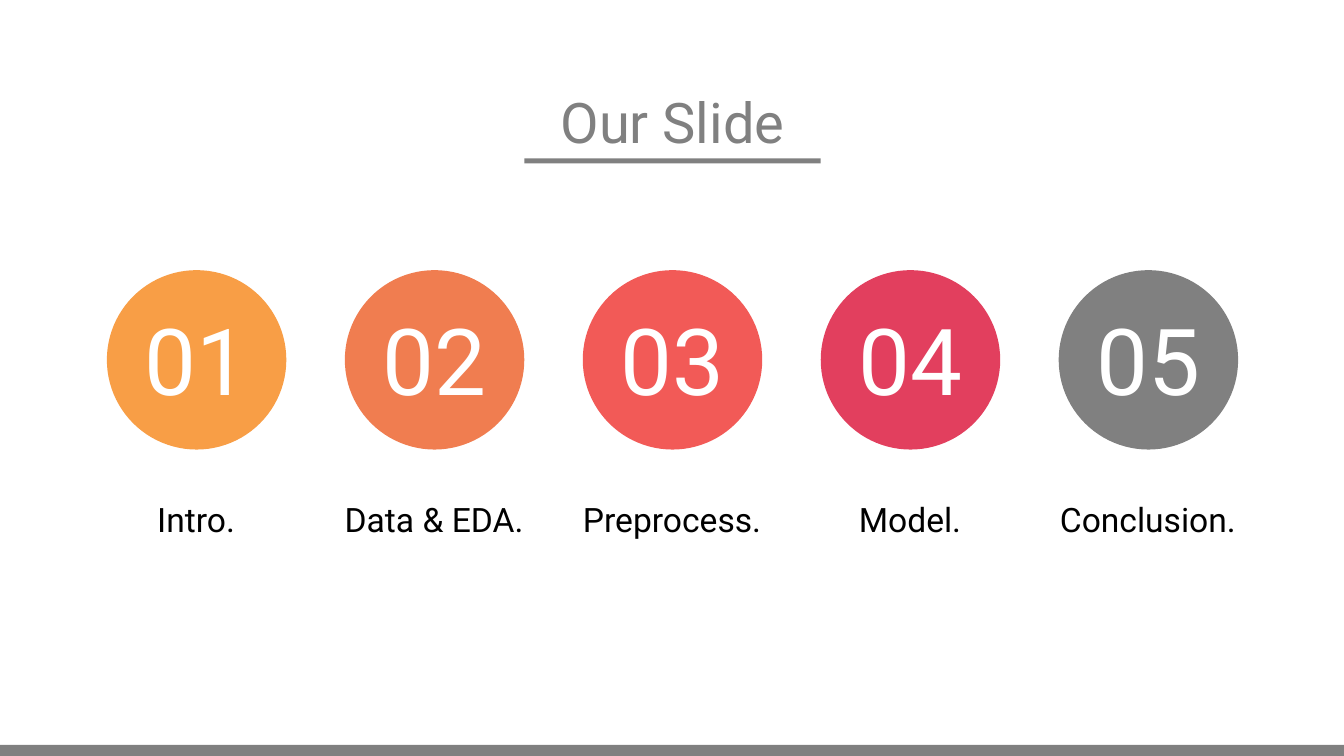
import pptx
import pptx.util
import pptx.dml.color
import pptx.enum.shapes
import pptx.enum.text

Inches = pptx.util.Inches
SHAPES = pptx.enum.shapes.MSO_SHAPE
GRAY = "808080"

deck = pptx.Presentation()
deck.slide_width = Inches(13.33)
deck.slide_height = Inches(7.5)
page = deck.slides.add_slide(deck.slide_layouts[5])


def add_block(kind, left, top, width, height, color):
    block = page.shapes.add_shape(
        kind, Inches(left), Inches(top), Inches(width), Inches(height))
    block.shadow.inherit = False
    block.fill.solid()
    block.fill.fore_color.rgb = pptx.dml.color.RGBColor.from_string(color)
    block.line.fill.background()


def write_text(box, text, size, color):
    frame = box.text_frame
    frame.word_wrap = True
    frame.auto_size = pptx.enum.text.MSO_AUTO_SIZE.SHAPE_TO_FIT_TEXT
    frame.vertical_anchor = pptx.enum.text.MSO_ANCHOR.TOP
    para = frame.paragraphs[0]
    para.text = text
    para.alignment = pptx.enum.text.PP_ALIGN.CENTER
    para.font.name = "Roboto"
    para.font.size = pptx.util.Pt(size)
    para.font.color.rgb = pptx.dml.color.RGBColor.from_string(color)


# Title with its underline
title = page.shapes.title
title.left, title.top = Inches(4.38), Inches(0.82)
title.width, title.height = Inches(4.58), Inches(0.77)
write_text(title, "Our Slide", 40, GRAY)
add_block(SHAPES.RECTANGLE, 5.2, 1.57, 2.94, 0.05, GRAY)

# Agenda: numbered circles with captions, evenly spaced
agenda = [
    ("Intro.", "F89E46"),
    ("Data & EDA.", "F07D50"),
    ("Preprocess.", "F25A57"),
    ("Model.", "E23F5E"),
    ("Conclusion.", GRAY),
]
for index, (caption, color) in enumerate(agenda):
    center = 1.95 + index * 2.36
    add_block(SHAPES.OVAL, center - 0.89, 2.68, 1.78, 1.78, color)
    number_box = page.shapes.add_textbox(
        Inches(center - 0.65), Inches(2.96), Inches(1.3), Inches(1.21))
    write_text(number_box, f"{index + 1:02d}", 66, "FFFFFF")
    caption_box = page.shapes.add_textbox(
        Inches(center - 1.11), Inches(4.9), Inches(2.21), Inches(0.5))
    write_text(caption_box, caption, 24, "000000")

# Footer bar
add_block(SHAPES.RECTANGLE, 0, 7.39, 13.33, 0.11, GRAY)

deck.save("out.pptx")
